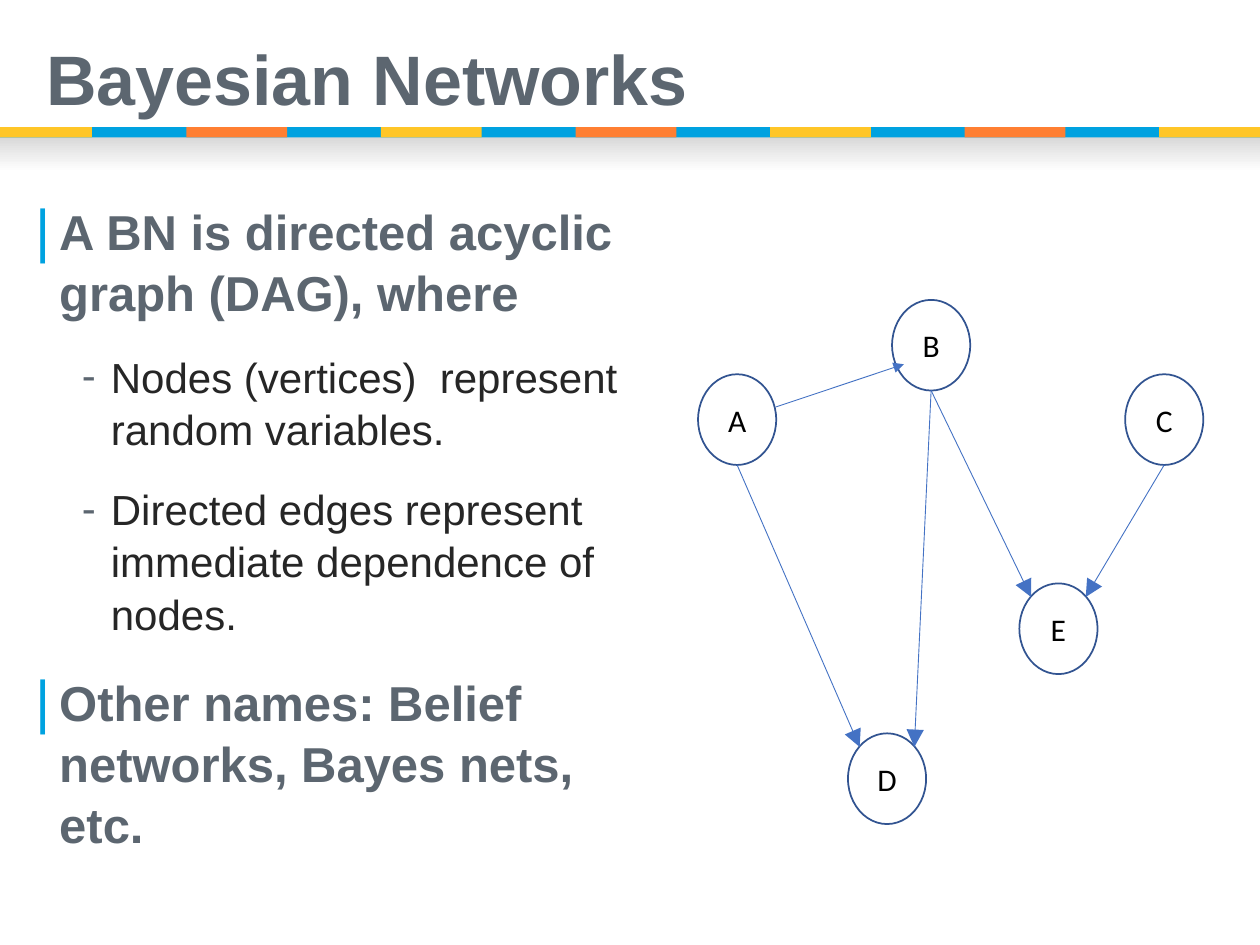
import pptx
import pptx.util
import pptx.dml.color
import pptx.enum.shapes
import pptx.enum.text
import pptx.oxml
import lxml.etree

Inches = pptx.util.Inches
Pt = pptx.util.Pt
kinds = pptx.enum.shapes.MSO_SHAPE
aligns = pptx.enum.text.PP_ALIGN
middle = pptx.enum.text.MSO_ANCHOR.MIDDLE


def tint(code):
    return pptx.dml.color.RGBColor.from_string(code)


def style(item, form):
    for name, value in form.items():
        setattr(item, name, value)


deck = pptx.Presentation()
style(deck, {"slide_width": Inches(10), "slide_height": Inches(7.5)})
slide = deck.slides.add_slide(deck.slide_layouts[6])
shapes = slide.shapes

shade = shapes.add_shape(kinds.RECTANGLE, 0, Inches(1.09), Inches(10), Inches(0.27))
shade.shadow.inherit = False
shade.line.fill.background()
shade.fill.gradient()
shade.fill.gradient_angle = 270
for stop, code in zip(shade.fill.gradient_stops, ["D9D9D9", "FFFFFF"]):
    stop.color.rgb = tint(code)

bars = [(0, 10, "00A2E0"), (0, 0.73, "FFC627")]
for i in range(6):
    bars.append((1.48 + 1.544 * i, 0.8, ["FF7F32", "FFC627"][i % 2]))
for left, width, code in bars:
    bar = shapes.add_shape(kinds.RECTANGLE, Inches(left), Inches(1.01), Inches(width), Inches(0.08))
    bar.shadow.inherit = False
    bar.fill.solid()
    bar.fill.fore_color.rgb = tint(code)
    bar.line.fill.background()

title = shapes.add_textbox(Inches(0.27), Inches(0.2), Inches(9.73), Inches(0.92))
style(title.text_frame, {"word_wrap": True, "vertical_anchor": middle})
para = title.text_frame.paragraphs[0]
para.text = "Bayesian Networks"
para.line_spacing = 0.9
style(para.font, {"size": Pt(40), "name": "Arial", "bold": True})
para.font.color.rgb = tint("5C6670")

body = shapes.add_textbox(Inches(0.21), Inches(1.54), Inches(4.79), Inches(5.2))
frame = body.text_frame
style(frame, {
    "word_wrap": True,
    "margin_left": Inches(0.07), "margin_right": Inches(0.07),
    "margin_top": Inches(0.04), "margin_bottom": Inches(0.04),
})
levels = [
    {"left": 0.19, "hang": 0.19, "mark": "|", "mark_code": "00A2E0", "scale": 120,
     "before": 18, "code": "5C6670", "font": {"size": Pt(28), "name": "Arial", "bold": True}},
    {"left": 0.6, "hang": 0.23, "mark": "-", "mark_code": "5C6670", "scale": 100,
     "before": 3.8, "code": "262626", "font": {"size": Pt(24), "name": "Arial", "bold": False}},
]
points = [
    (0, "A BN is directed acyclic graph (DAG), where", 12),
    (1, "Nodes (vertices)  represent random variables.", 12),
    (1, "Directed edges represent immediate dependence of nodes.", 0),
    (0, "Other names: Belief networks, Bayes nets, etc.", 12),
]
for i, (level, text, after) in enumerate(points):
    form = levels[level]
    para = frame.add_paragraph() if i else frame.paragraphs[0]
    para.text = text
    style(para, {
        "level": level, "line_spacing": 1.04,
        "space_before": Pt(form["before"] if i else 0), "space_after": Pt(after),
    })
    props = para._p.get_or_add_pPr()
    props.set("marL", str(Inches(form["left"])))
    props.set("indent", str(-Inches(form["hang"])))
    color = lxml.etree.SubElement(props, pptx.oxml.ns.qn("a:buClr"))
    lxml.etree.SubElement(color, pptx.oxml.ns.qn("a:srgbClr"), val=form["mark_code"])
    lxml.etree.SubElement(props, pptx.oxml.ns.qn("a:buSzPct"), val=str(form["scale"] * 1000))
    lxml.etree.SubElement(props, pptx.oxml.ns.qn("a:buFont"), typeface="Arial")
    lxml.etree.SubElement(props, pptx.oxml.ns.qn("a:buChar"), char=form["mark"])
    style(para.font, form["font"])
    para.font.color.rgb = tint(form["code"])

wide, high = 0.62, 0.72
nodes = {"A": (5.54, 2.97), "B": (7.08, 2.38), "C": (8.93, 2.97), "D": (6.73, 5.82), "E": (8.09, 4.63)}
for name, (left, top) in nodes.items():
    node = shapes.add_shape(kinds.OVAL, Inches(left), Inches(top), Inches(wide), Inches(high))
    node.shadow.inherit = False
    node.fill.background()
    node.line.color.rgb = tint("325491")
    node.line.width = Pt(1)
    style(node.text_frame, {"vertical_anchor": middle, "margin_left": 0, "margin_right": 0})
    para = node.text_frame.paragraphs[0]
    style(para, {"text": name, "alignment": aligns.CENTER})
    style(para.font, {"size": Pt(18), "name": "Calibri"})
    para.font.color.rgb = tint("000000")

ports = {"base": (0.5, 1), "left": (0.15, 0.15), "right": (0.85, 0.15), "side": (1, 0.36), "low": (0.15, 0.71)}
edges = [
    ("B", "base", "D", "right"),
    ("A", "base", "D", "left"),
    ("C", "base", "E", "right"),
    ("B", "base", "E", "left"),
    ("A", "side", "B", "low"),
]
for start, out, end, into in edges:
    ends = []
    for name, port in [(start, out), (end, into)]:
        (left, top), (across, down) = nodes[name], ports[port]
        ends += [Inches(left + wide * across), Inches(top + high * down)]
    edge = shapes.add_connector(pptx.enum.shapes.MSO_CONNECTOR.STRAIGHT, *ends)
    edge.line.color.rgb = tint("4472C4")
    edge.line.width = Pt(0.5)
    size = "med" if into == "low" else "lg"
    lxml.etree.SubElement(edge.line._get_or_add_ln(), pptx.oxml.ns.qn("a:tailEnd"), type="triangle", w=size, len=size)
    lxml.etree.SubElement(edge._element.spPr, pptx.oxml.ns.qn("a:effectLst"))

deck.save("out.pptx")
